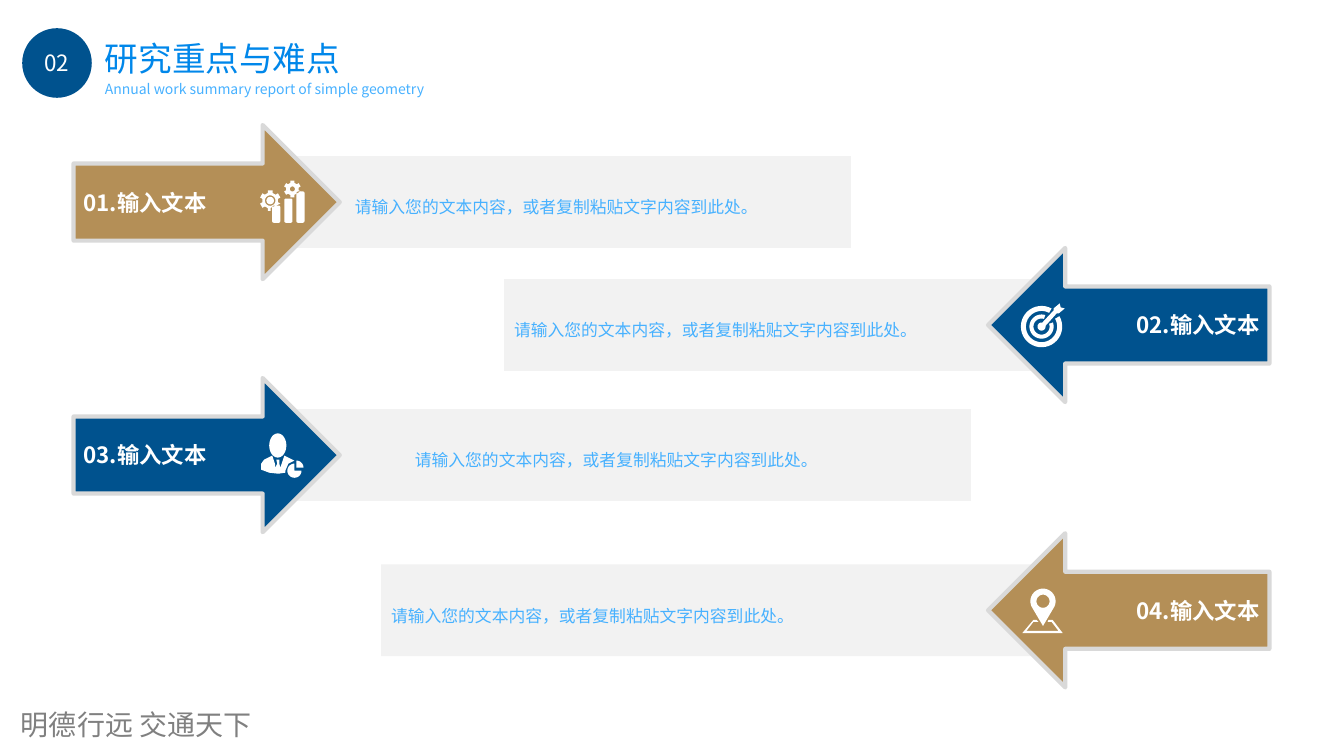
from math import cos, radians, sin

from lxml import etree
from pptx import Presentation
from pptx.dml.color import RGBColor
from pptx.enum.shapes import MSO_SHAPE
from pptx.enum.text import MSO_ANCHOR, MSO_AUTO_SIZE, PP_ALIGN
from pptx.oxml.ns import qn
from pptx.util import Emu, Inches, Pt

RECT, OVAL = MSO_SHAPE.RECTANGLE, MSO_SHAPE.OVAL
ARROW_RIGHT, ARROW_LEFT = MSO_SHAPE.RIGHT_ARROW, MSO_SHAPE.LEFT_ARROW
LEFT, CENTER, RIGHT = PP_ALIGN.LEFT, PP_ALIGN.CENTER, PP_ALIGN.RIGHT
JUSTIFY, MIDDLE = PP_ALIGN.JUSTIFY, MSO_ANCHOR.MIDDLE
FIT_SHAPE = MSO_AUTO_SIZE.SHAPE_TO_FIT_TEXT

NAVY = RGBColor(0x00, 0x52, 0x8E)
GOLD = RGBColor(0xB4, 0x8F, 0x57)
BLUE = RGBColor(0x00, 0x87, 0xEA)
SKY = RGBColor(0x47, 0xB1, 0xFF)
PALE = RGBColor(0xF2, 0xF2, 0xF2)
SILVER = RGBColor(0xD9, 0xD9, 0xD9)
GRAY = RGBColor(0x80, 0x80, 0x80)
WHITE = RGBColor(0xFF, 0xFF, 0xFF)

FONT, FOOTER_FONT = "Noto Sans CJK SC", "Noto Sans CJK JP"
BODY = "请输入您的文本内容，或者复制粘贴文字内容到此处。"

# Grid of 80 columns and 45 rows of square cells
SLIDE_W, SLIDE_H = Inches(13.33), Inches(7.5)
CELL = SLIDE_H / 45
ICON_UNIT = CELL * 0.06

# Arrow rows, measured in cells
ARROW_H, BAR_H, BAR_DROP, ICON_DROP = 9.18, 5.46, 1.86, 3.3
LEFT_ARROW_X, LEFT_ARROW_W, LEFT_BAR_X = 4.38, 15.84, 15.6
RIGHT_ARROW_X, RIGHT_ARROW_W, RIGHT_BAR_END = 58.8, 16.74, 63.36


def cells(*lengths):
    return [Emu(round(n * CELL)) for n in lengths]


def write(tf, text, size, color, align=LEFT, font=FONT, bold=False):
    tf.text = text
    p = tf.paragraphs[0]
    p.alignment = align
    r = p.runs[0]
    r.font.size, r.font.name, r.font.bold = Pt(size), font, bold
    r.font.color.rgb = color
    ea = etree.SubElement(r.font._element, qn("a:ea"))
    ea.set("typeface", font)
    return p


def add_block(s, kind, box, fill, line=None):
    sp = s.shapes.add_shape(kind, *cells(*box))
    sp.shadow.inherit = False
    sp.fill.solid()
    sp.fill.fore_color.rgb = fill
    if line is None:
        sp.line.fill.background()
    else:
        sp.line.color.rgb = line
        sp.line.width = Pt(3)
    sp.text_frame.word_wrap = True
    sp.text_frame.vertical_anchor = MIDDLE
    return sp


def add_label(s, box, text, size, color, font=FONT, inset=None):
    tf = s.shapes.add_textbox(*cells(*box)).text_frame
    tf.word_wrap = True
    tf.auto_size = FIT_SHAPE
    if inset:
        tf.margin_left = tf.margin_right = Inches(inset[0])
        tf.margin_top = tf.margin_bottom = Inches(inset[1])
    write(tf, text, size, color, font=font)


# Icon outlines, in hundredths of an inch from the icon's corner
def arc(cx, cy, rx, start=0, end=360, ry=None, steps=36):
    angles = [radians(start + (end - start) * i / steps) for i in range(steps + 1)]
    return [(cx + rx * cos(a), cy + (ry or rx) * sin(a)) for a in angles]


def ring(cx, cy, outer, inner, start, end):
    return arc(cx, cy, outer, start, end) + arc(cx, cy, inner, end, start)


def gear(cx, cy, radius, notch, teeth=6):
    """Toothed wheel, cut off at x = notch in its lower part."""
    points = []
    for i in range(teeth):
        for turn, share in ((-18, 0.75), (-13, 1), (13, 1), (18, 0.75)):
            a = radians(i * 360 / teeth + 30 + turn)
            x, y = cx + radius * share * cos(a), cy + radius * share * sin(a)
            points.append((min(x, notch) if y > cy + 0.3 * radius else x, y))
    return points


def bar(x, top, width=8, bottom=42, r=1.5):
    corners = ((x + r, top + r, 180), (x + width - r, top + r, 270),
               (x + width - r, bottom - r, 0), (x + r, bottom - r, 90))
    return [pt for cx, cy, a in corners for pt in arc(cx, cy, r, a, a + 90, steps=4)]


def gears_icon():
    bars = [bar(12 + 12 * i, 25 - 7 * i) for i in range(3)]
    return bars + [gear(10, 20, 10.5, 10.5), arc(10, 20, 5.2), arc(10, 20, 3.7),
                   gear(32, 8.5, 8.5, 34), arc(32, 8.5, 2.5)]


def target_icon():
    dart = [(33, 7), (33, 5), (39, 0), (40, 4), (44, 5), (38, 10), (36, 10)]
    return [ring(21, 23, 20.5, 15.5, -30, 299), ring(21, 23, 12, 8, -20, 288),
            arc(21, 23, 4, -10, 280) + dart]


def person_icon():
    body = [(11, 22), (14, 31), (14, 34), (16, 30), (15, 26), (18, 26), (18, 30),
            (19, 34), (20, 31), (23, 22), (31, 26), (33, 27), (27, 30), (24, 37),
            (24, 39), (17, 40), (8, 39), (0, 36), (0, 30), (3, 26)]
    return [arc(16.5, 12, 8.5, ry=12), body,
            [(33, 37)] + arc(33, 37, 7, 0, 270),
            [(35, 34)] + arc(35, 34, 7, -90, 0)]


def pin_icon():
    base = [(11, 31), (14, 31), (16, 33), (11, 33), (4, 42), (36, 42), (29, 33),
            (25, 33), (26, 31), (30, 31), (40, 44), (0, 44)]
    return [base, arc(20.5, 12.5, 12.5, 155, 385) + [(20.5, 37)],
            arc(20.5, 12.5, 6.5)]


def add_icon(s, x, y, outlines):
    def place(point):
        return (round(x * CELL + point[0] * ICON_UNIT),
                round(y * CELL + point[1] * ICON_UNIT))

    first, *others = [[place(pt) for pt in outline] for outline in outlines]
    builder = s.shapes.build_freeform(*first[0])
    builder.add_line_segments(first[1:], close=True)
    for outline in others:
        builder.move_to(*outline[0])
        builder.add_line_segments(outline[1:], close=True)
    sp = builder.convert_to_shape()
    sp.shadow.inherit = False
    sp.fill.solid()
    sp.fill.fore_color.rgb = WHITE
    sp.line.fill.background()


def add_row(s, title, top, color, bar_w, from_left, icon_x, icon):
    if from_left:
        kind, x, w, align = ARROW_RIGHT, LEFT_ARROW_X, LEFT_ARROW_W, LEFT
        bar_x, bar_align = LEFT_BAR_X, CENTER
    else:
        kind, x, w, align = ARROW_LEFT, RIGHT_ARROW_X, RIGHT_ARROW_W, RIGHT
        bar_x, bar_align = RIGHT_BAR_END - bar_w, JUSTIFY
    strip = add_block(s, RECT, (bar_x, top + BAR_DROP, bar_w, BAR_H), PALE)
    write(strip.text_frame, BODY, 12, SKY, bar_align).line_spacing = 1.5
    arrow = add_block(s, kind, (x, top, w, ARROW_H), color, SILVER)
    write(arrow.text_frame, title, 16, WHITE, align, bold=True)
    add_icon(s, icon_x, top + ICON_DROP, icon)


def main():
    prs = Presentation()
    prs.slide_width, prs.slide_height = SLIDE_W, SLIDE_H
    s = prs.slides.add_slide(prs.slide_layouts[6])

    # Footer motto
    add_label(s, (0.66, 41.82, 23.64, 2.64), "明德行远 交通天下", 20, GRAY, FOOTER_FONT)

    # Four arrows with their text bars
    rows = [("01.输入文本", 7.44, GOLD, 35.04, True, 15.48, gears_icon()),
            ("02.输入文本", 14.76, NAVY, 33.36, False, 60.72, target_icon()),
            ("03.输入文本", 22.5, NAVY, 42.18, True, 15.54, person_icon()),
            ("04.输入文本", 31.74, GOLD, 40.68, False, 60.84, pin_icon())]
    for row in rows:
        add_row(s, *row)

    # Heading
    inset = (0.07, 0.04)
    add_label(s, (5.82, 2.04, 16.56, 2.88), "研究重点与难点", 24, BLUE, inset=inset)
    add_label(s, (5.82, 4.56, 24.06, 1.44),
              "Annual work summary report of simple geometry", 10, SKY, inset=inset)
    badge = add_block(s, OVAL, (1.32, 1.68, 4.14, 4.14), NAVY)
    write(badge.text_frame, "02", 16, WHITE, CENTER)

    prs.save("out.pptx")


if __name__ == "__main__":
    main()
